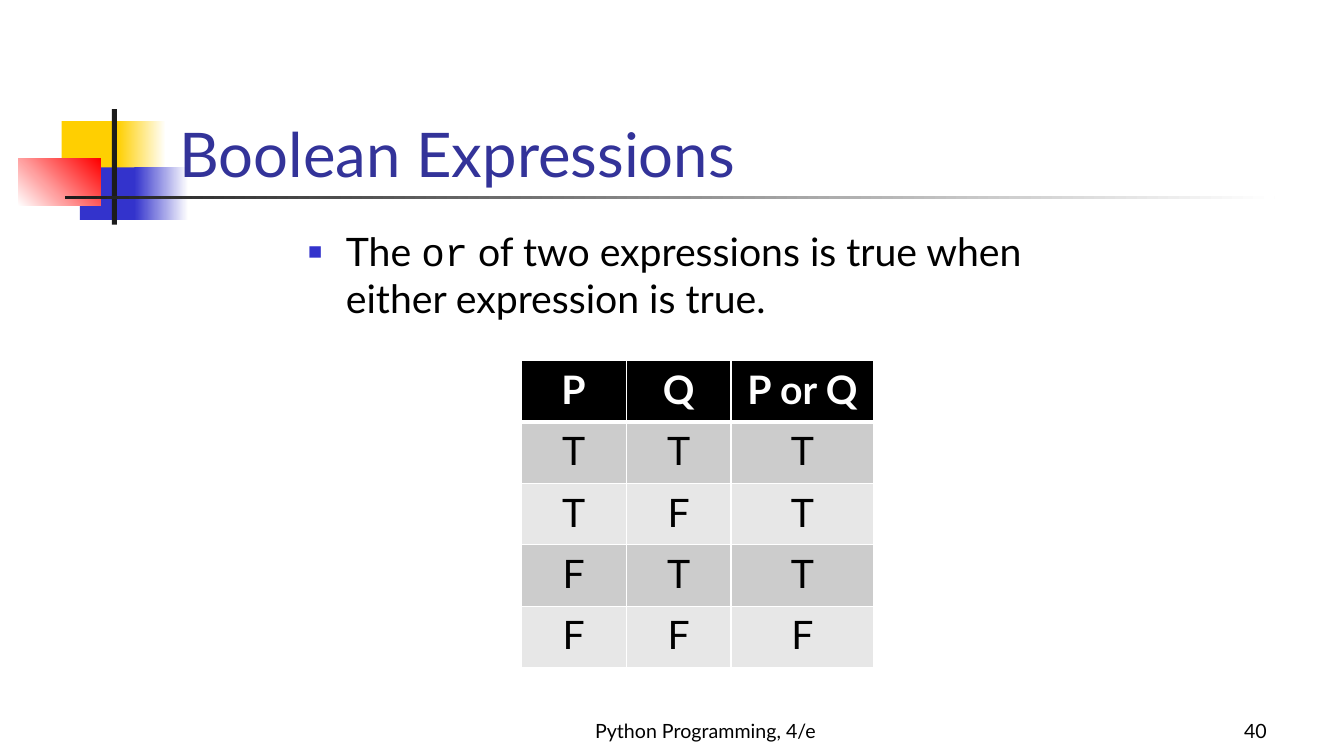
from lxml import etree
from pptx import Presentation
from pptx.dml.color import RGBColor
from pptx.enum import shapes, text
from pptx.oxml import ns
from pptx.util import Pt

BLACK = RGBColor(0, 0, 0)
WHITE = RGBColor(255, 255, 255)
YELLOW = RGBColor(0xFF, 0xCF, 0x01)
BLUE = RGBColor(0x33, 0x33, 0xCC)
RED = RGBColor(0xFF, 0, 0)
CHARCOAL = RGBColor(0x1C, 0x1C, 0x1C)
TITLE_BLUE = RGBColor(0x33, 0x33, 0x99)
BANDS = (RGBColor(0xE7, 0xE7, 0xE7), RGBColor(0xCC, 0xCC, 0xCC))
FONT, CODE_FONT = "Lato", "Courier New"
LEFT, CENTER, RIGHT = text.PP_ALIGN.LEFT, text.PP_ALIGN.CENTER, text.PP_ALIGN.RIGHT
TOP, BOTTOM = text.MSO_ANCHOR.TOP, text.MSO_ANCHOR.BOTTOM

# left, top, width, height, colours (two make a gradient), gradient angle
ORNAMENTS = [
    (44, 86.5, 46, 37.5, [YELLOW], 0),
    (84, 86.5, 34.5, 37.5, [YELLOW, WHITE], 0),
    (57, 119.5, 44.5, 37.5, [BLUE], 0),
    (96, 119.5, 38.5, 37.5, [BLUE, WHITE], 0),
    (13, 113.5, 59, 33.5, [WHITE, RED], 45),
    (80, 78, 3.5, 82.5, [CHARCOAL], 0),
    (46.5, 140, 864, 2.5, [CHARCOAL, WHITE], 0),
]
# left, top, width, height, anchor, alignment, size, colour, (words, font) pieces
TEXTS = [
    (352, 498, 304, 36, BOTTOM, CENTER, 14, BLACK, [("Python Programming, 4/e", FONT)]),
    (712, 498, 200, 36, BOTTOM, RIGHT, 14, BLACK, [("40", FONT)]),
    (121, 49, 818, 90, BOTTOM, LEFT, 44, TITLE_BLUE, [("Boolean Expressions", FONT)]),
]
STATEMENT = (213, 159, 567, 324, TOP, LEFT, 28, BLACK, [
    ("The ", FONT), ("or", CODE_FONT),
    (" of two expressions is true when either expression is true.", FONT)])
TRUTH_TABLE = [
    ("P", "Q", "P or Q"),
    ("T", "T", "T"),
    ("T", "F", "T"),
    ("F", "T", "T"),
    ("F", "F", "F"),
]
TABLE_LEFT, TABLE_TOP, ROW_HEIGHT = 372.25, 257.75, 43.8
COLUMN_WIDTHS = (75, 75, 102)
SPACE_BEFORE = '<a:spcBef {ns}><a:spcPct val="20000"/></a:spcBef>'
BULLET = (
    f'<a:buClr {{ns}}><a:srgbClr val="{BLUE}"/></a:buClr>',
    '<a:buSzPct {ns} val="60000"/>',
    '<a:buFont {ns} typeface="Arial"/>',
    '<a:buChar {ns} char="■"/>',
)


def append_xml(parent, *fragments):
    for fragment in fragments:
        parent.append(etree.fromstring(fragment.format(ns=ns.nsdecls("a"))))


def style(span, size, color, font=FONT, bold=False):
    span.font.name, span.font.size, span.font.bold = font, Pt(size), bold
    span.font.color.rgb = color


def add_ornament(page, left, top, width, height, colors, angle):
    box = page.shapes.add_shape(shapes.MSO_SHAPE.RECTANGLE,
                                Pt(left), Pt(top), Pt(width), Pt(height))
    box.shadow.inherit = False
    box.line.fill.background()
    if len(colors) == 1:
        box.fill.solid()
        box.fill.fore_color.rgb = colors[0]
    else:
        box.fill.gradient()
        box.fill.gradient_angle = angle
        for stop, color in zip(box.fill.gradient_stops, colors):
            stop.color.rgb = color


def add_text(page, left, top, width, height, anchor, align, size, color, pieces):
    box = page.shapes.add_textbox(Pt(left), Pt(top), Pt(width), Pt(height))
    frame = box.text_frame
    frame.word_wrap, frame.vertical_anchor = True, anchor
    para = frame.paragraphs[0]
    para.alignment = align
    for words, font in pieces:
        span = para.add_run()
        span.text = words
        style(span, size, color, font)
    return para


def set_borders(cell, bottom):
    """White lines on all four sides; the bottom one has its own width."""
    for side, width in (("L", 1), ("R", 1), ("T", 1), ("B", bottom)):
        append_xml(cell._tc.get_or_add_tcPr(),
                   f'<a:ln{side} {{ns}} w="{Pt(width)}"><a:solidFill>'
                   f'<a:srgbClr val="{WHITE}"/></a:solidFill></a:ln{side}>')


def add_truth_table(page):
    table = page.shapes.add_table(
        len(TRUTH_TABLE), len(COLUMN_WIDTHS), Pt(TABLE_LEFT), Pt(TABLE_TOP),
        Pt(sum(COLUMN_WIDTHS)), Pt(ROW_HEIGHT * len(TRUTH_TABLE))).table
    for column, width in zip(table.columns, COLUMN_WIDTHS):
        column.width = Pt(width)
    for r, values in enumerate(TRUTH_TABLE):
        table.rows[r].height = Pt(ROW_HEIGHT)
        header = r == 0
        for c, value in enumerate(values):
            cell = table.cell(r, c)
            set_borders(cell, 3 if header else 1)
            cell.fill.solid()
            cell.fill.fore_color.rgb = BLACK if header else BANDS[r % 2]
            para = cell.text_frame.paragraphs[0]
            para.text = value
            para.alignment = CENTER
            append_xml(para._p.get_or_add_pPr(), SPACE_BEFORE)
            style(para.runs[0], 28, WHITE if header else BLACK, bold=header)


def main():
    deck = Presentation()
    deck.slide_width, deck.slide_height = Pt(960), Pt(540)
    page = deck.slides.add_slide(deck.slide_layouts[6])
    for ornament in ORNAMENTS:
        add_ornament(page, *ornament)
    for item in TEXTS:
        add_text(page, *item)
    statement = add_text(page, *STATEMENT)
    properties = statement._p.get_or_add_pPr()
    properties.set("marL", str(Pt(27)))
    properties.set("indent", str(-Pt(27)))
    append_xml(properties, SPACE_BEFORE, *BULLET)
    add_truth_table(page)
    deck.save("out.pptx")


if __name__ == "__main__":
    main()
